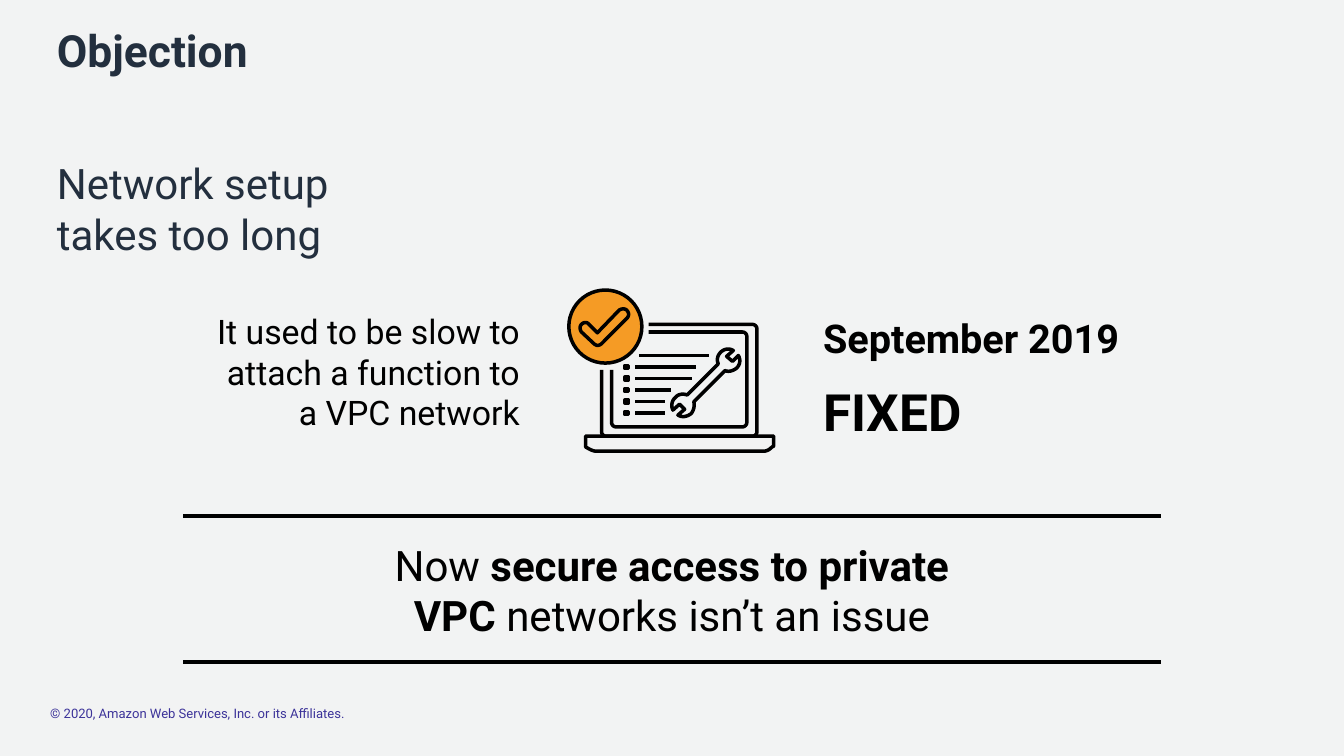
from dataclasses import dataclass

from lxml.etree import SubElement
from pptx import Presentation
from pptx.dml.color import RGBColor
from pptx.enum.shapes import MSO_CONNECTOR, MSO_SHAPE
from pptx.enum.text import MSO_ANCHOR, PP_ALIGN
from pptx.oxml.ns import qn
from pptx.util import Cm, Pt


@dataclass(frozen=True)
class Theme:
    font: str = "Roboto"
    background: RGBColor = RGBColor(0xF2, 0xF3, 0xF3)
    heading: RGBColor = RGBColor(0x23, 0x2F, 0x3E)
    ink: RGBColor = RGBColor(0, 0, 0)
    badge: RGBColor = RGBColor(0xF5, 0x9B, 0x25)
    legal: RGBColor = RGBColor(0x3C, 0x33, 0x99)
    title_size: float = 38
    statement_size: float = 36
    problem_size: float = 29
    date_size: float = 34
    verdict_size: float = 44
    legal_size: float = 11.2
    stroke: float = 3


THEME = Theme()
ICON_GRID = 245  # icon drawing units across its box


def add_text(slide, box, text, size, color=THEME.ink, bold=False,
             align=PP_ALIGN.LEFT, inset=Cm(0.2), anchor=MSO_ANCHOR.TOP):
    frame = slide.shapes.add_textbox(*box).text_frame
    frame.word_wrap = True
    frame.vertical_anchor = anchor
    frame.margin_left = frame.margin_right = inset
    frame.margin_top = frame.margin_bottom = inset
    paragraph = frame.paragraphs[0]
    paragraph.text = text
    paragraph.alignment = align
    for run in paragraph.runs:
        style_run(run, size, color, bold)
    return paragraph


def style_run(run, size, color, bold):
    run.font.name = THEME.font
    run.font.size = Pt(size)
    run.font.color.rgb = color
    run.font.bold = bold


def ink_line(part):
    part.line.color.rgb = THEME.ink
    part.line.width = Pt(THEME.stroke)
    properties = part._element.spPr
    SubElement(properties.find(qn("a:ln")), qn("a:round"))
    if properties.find(qn("a:effectLst")) is None:
        SubElement(properties, qn("a:effectLst"))


def add_rule(slide, x1, y1, x2, y2):
    ink_line(slide.shapes.add_connector(MSO_CONNECTOR.STRAIGHT, x1, y1, x2, y2))


def flatten(steps, pieces=8):
    """Turn line steps (x, y) and cubic steps (six numbers) into points."""
    points = [steps[0]]
    for step in steps[1:]:
        if len(step) == 2:
            points.append(step)
            continue
        curve = [points[-1], step[0:2], step[2:4], step[4:6]]
        for i in range(1, pieces + 1):
            t = i / pieces
            weights = ((1 - t) ** 3, 3 * t * (1 - t) ** 2, 3 * t * t * (1 - t), t ** 3)
            points.append(tuple(sum(w * p[axis] for w, p in zip(weights, curve))
                                for axis in (0, 1)))
    return points


def add_outline(slide, box, steps, close=True):
    left, top, width, _ = box
    unit = width / ICON_GRID
    points = [(round(left + x * unit), round(top + y * unit)) for x, y in flatten(steps)]
    builder = slide.shapes.build_freeform(*points[0])
    builder.add_line_segments(points[1:], close=close)
    outline = builder.convert_to_shape()
    outline.shadow.inherit = False
    outline.fill.background()
    ink_line(outline)


def add_screen(slide, box, left, top, right, bottom, r=5):
    """Rounded frame, open at the corner where the badge sits."""
    add_outline(slide, box, [
        (95, top), (right - r, top),
        (right - r / 2, top, right, top + r / 2, right, top + r),
        (right, bottom - r),
        (right, bottom - r / 2, right - r / 2, bottom, right - r, bottom),
        (left + r, bottom),
        (left + r / 2, bottom, left, bottom - r / 2, left, bottom - r),
        (left, 95)], close=False)


def add_laptop(slide, box):
    left, top, width, _ = box
    unit = width / ICON_GRID

    # Base and screen
    add_outline(slide, box, [
        (20, 174), (20, 187), (24, 189, 28, 192, 33, 192), (232, 192),
        (236, 192, 239, 190, 242, 187), (244, 186), (244, 174)])
    add_screen(slide, box, 51, 50, 212, 163)
    add_screen(slide, box, 39, 41, 224, 174)

    # Wrench
    add_outline(slide, box, [
        (127, 128), (130, 124, 136, 123, 141, 125), (178, 88),
        (176, 83, 177, 78, 181, 74), (185, 70, 191, 69, 196, 72),
        (188, 79), (195, 85), (202, 78),
        (205, 83, 204, 89, 200, 93), (196, 96, 191, 98, 186, 96), (149, 133),
        (150, 138, 149, 143, 146, 147), (141, 151, 135, 152, 130, 149),
        (138, 142), (132, 136), (124, 143), (122, 139, 122, 132, 127, 128)])

    # Code lines, bulleted below the first
    for row, end in enumerate((167, 151, 147, 122, 114, 114)):
        y = 78 + 13.7 * row
        start = 79 if row else 84
        add_rule(slide, round(left + start * unit), round(top + y * unit),
                 round(left + end * unit), round(top + y * unit))
        if row:
            add_outline(slide, box, [(67, y - 2), (71, y - 2), (71, y + 2), (67, y + 2)])


def add_badge(slide, box):
    left, top, width, _ = box
    diameter = round(87 * width / ICON_GRID)
    disc = slide.shapes.add_shape(MSO_SHAPE.OVAL, left, top, diameter, diameter)
    disc.shadow.inherit = False
    disc.fill.solid()
    disc.fill.fore_color.rgb = THEME.badge
    ink_line(disc)
    add_outline(slide, box, [
        (69, 34), (39, 64), (38, 65, 36, 66, 34, 66), (33, 66, 31, 65, 30, 64),
        (15, 50), (13, 47, 13, 43, 15, 41), (18, 38, 22, 38, 24, 41), (34, 51),
        (60, 24), (63, 22, 67, 22, 69, 24), (72, 27, 72, 31, 69, 34)])


def add_header(slide, box):
    left, top, width, _ = box
    add_text(slide, (left, top, width, Cm(2.41)), "Objection",
             THEME.title_size, THEME.heading, bold=True)
    add_text(slide, (left, top + Cm(4.06), width, Cm(3.4)),
             "Network setup\ntakes too long", THEME.statement_size, THEME.heading)


def add_story(slide, box):
    left, top, _, height = box
    add_text(slide, (left, top, Cm(9.68), height),
             "It used to be slow to attach a function to a VPC network",
             THEME.problem_size, align=PP_ALIGN.RIGHT, anchor=MSO_ANCHOR.MIDDLE)
    icon_box = (left + Cm(10.95), top - Cm(0.48), Cm(6.22), Cm(4.93))
    add_laptop(slide, icon_box)
    add_badge(slide, icon_box)
    outcome_left = left + Cm(18.44)
    add_text(slide, (outcome_left, top + Cm(0.05), Cm(10.41), Cm(2.08)),
             "September 2019", THEME.date_size, bold=True)
    add_text(slide, (outcome_left, top + Cm(2.05), Cm(10.41), Cm(2.2)),
             "FIXED", THEME.verdict_size, bold=True)


def add_conclusion(slide, box):
    left, top, width, height = box
    for y in (top, top + height):
        add_rule(slide, left, y, left + width, y)
    message = add_text(slide, (left, top + Cm(0.51), width, Cm(3.43)), "Now ",
                       THEME.statement_size, align=PP_ALIGN.CENTER)
    for text, bold in (("secure access to private", True), ("\n", False),
                       ("VPC", True), (" networks isn’t an issue", False)):
        if text == "\n":
            message.add_line_break()
            continue
        run = message.add_run()
        run.text = text
        style_run(run, THEME.statement_size, THEME.ink, bold)


def main():
    deck = Presentation()
    deck.slide_width, deck.slide_height = Cm(40.64), Cm(22.86)
    slide = deck.slides.add_slide(deck.slide_layouts[6])
    slide.background.fill.solid()
    slide.background.fill.fore_color.rgb = THEME.background

    add_header(slide, (Cm(1.52), Cm(0.51), Cm(37.54), Cm(7.46)))
    add_story(slide, (Cm(6.25), Cm(9.25), Cm(28.85), Cm(3.99)))
    add_conclusion(slide, (Cm(5.54), Cm(15.6), Cm(29.56), Cm(4.42)))
    add_text(slide, (Cm(1.52), Cm(21.34), Cm(19.76), Cm(0.48)),
             "© 2020, Amazon Web Services, Inc. or its Affiliates.",
             THEME.legal_size, THEME.legal, inset=0)
    deck.save("out.pptx")


if __name__ == "__main__":
    main()
